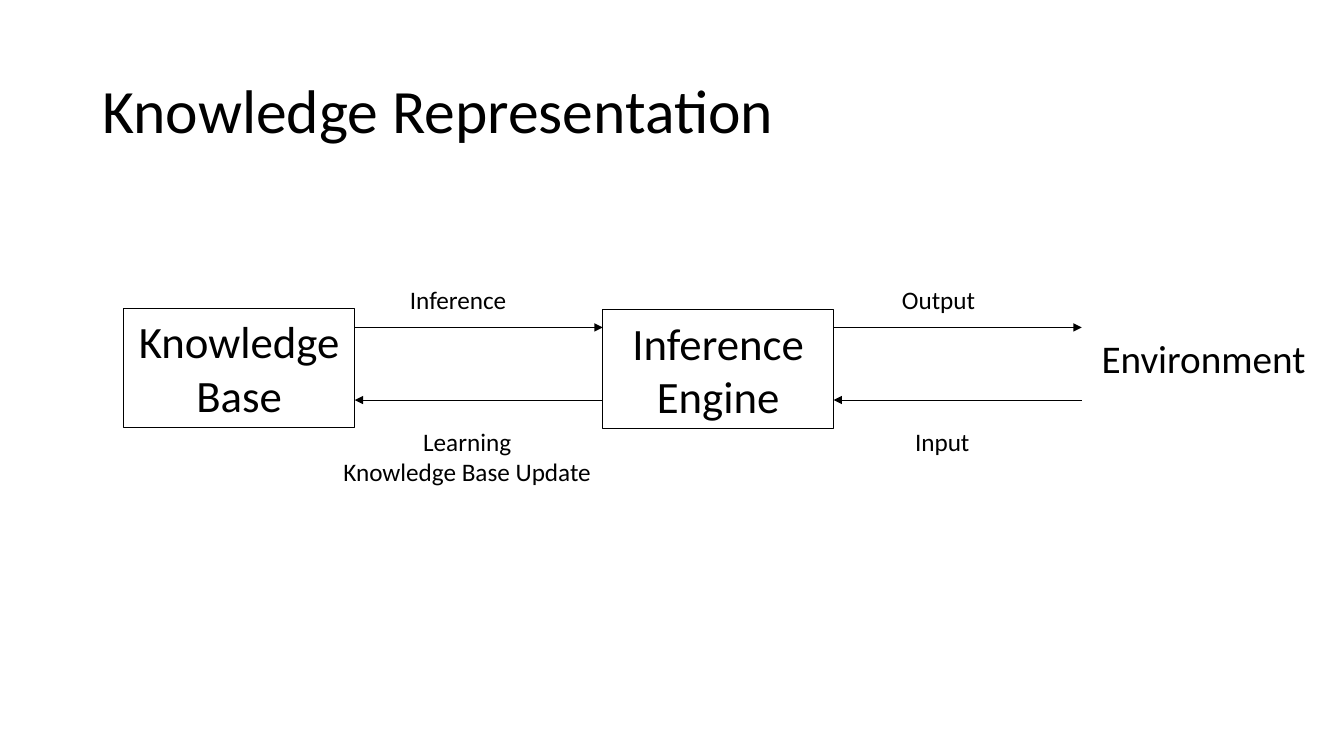
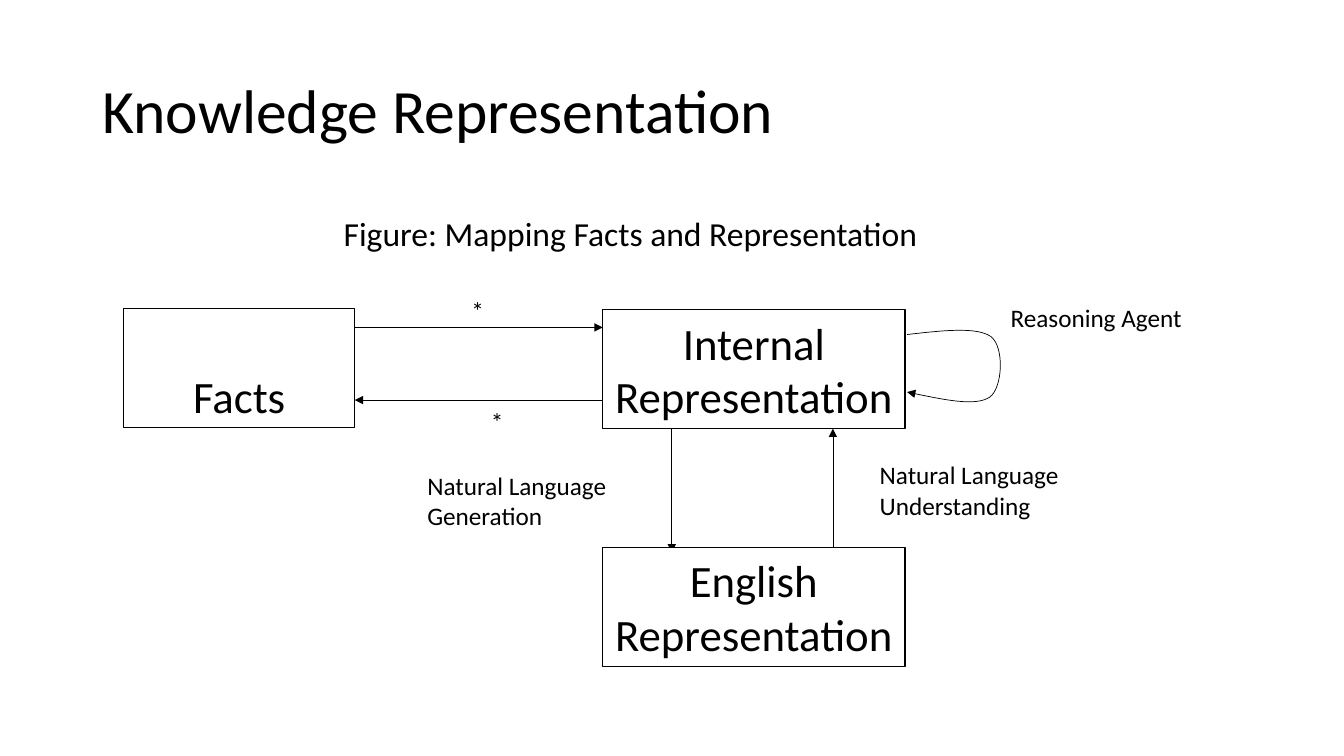
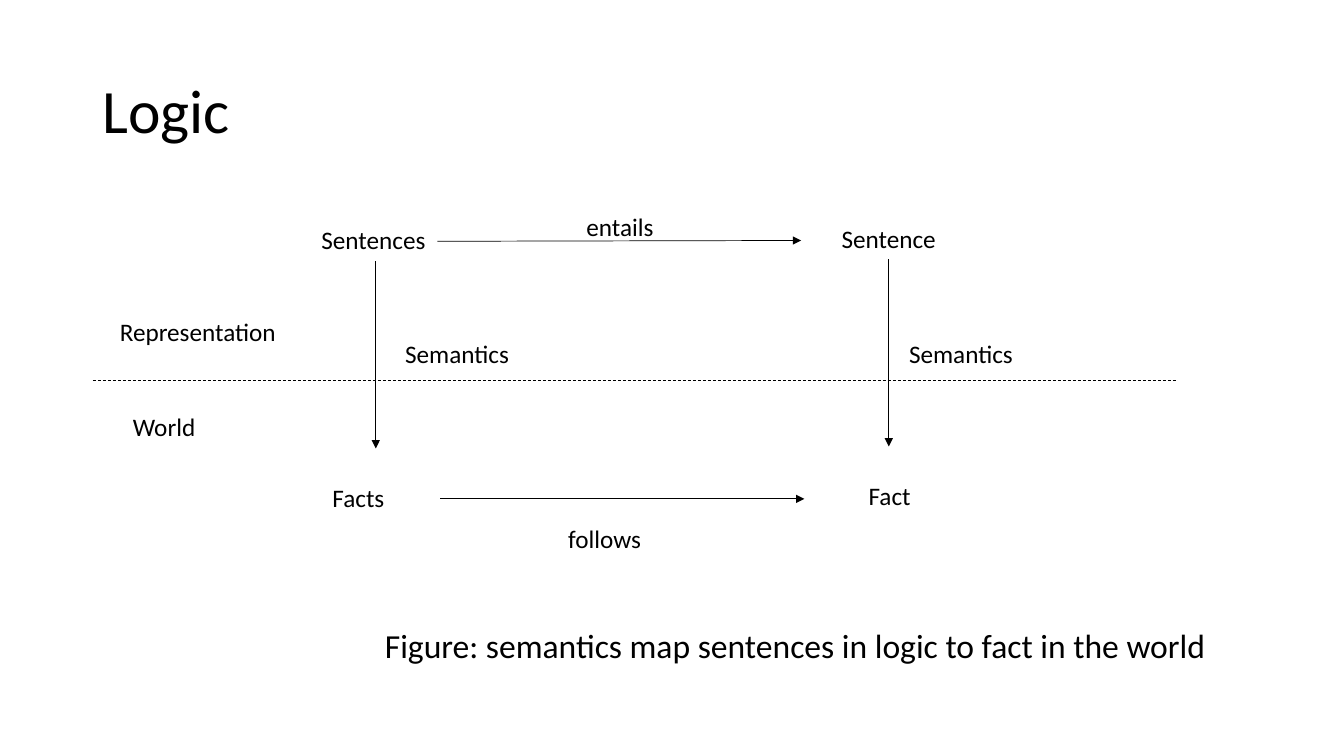
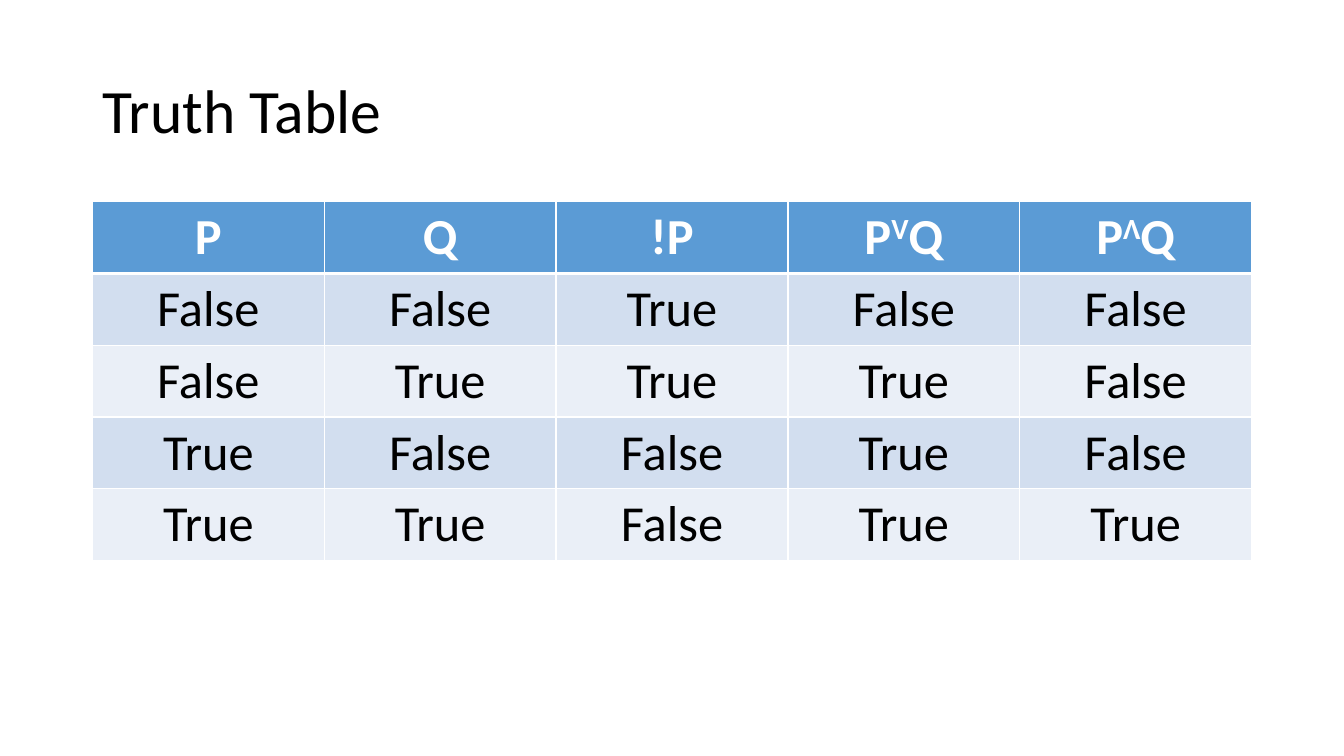
"""Build four slides on knowledge representation, logic and truth tables."""
import pptx
import pptx.dml.color
import pptx.enum.dml
import pptx.enum.shapes
import pptx.enum.text
import pptx.oxml.ns
import pptx.oxml.xmlchemy
import pptx.util

Cm = pptx.util.Cm
Pt = pptx.util.Pt
ALIGN = pptx.enum.text.PP_ALIGN
ANCHOR = pptx.enum.text.MSO_ANCHOR

FONT = "Calibri"
BLACK, WHITE = "000000", "FFFFFF"
HEADER_FILL, BANDS = "5B9BD5", ("D2DEEF", "EAEFF7")
TITLE_AREA = (2.33, 1.01, 29.21, 3.68)

BOX_LEFT, BOX_TOP, BOX_HEIGHT = 3.12, 7.77, 3
ENGINE_LEFT, ENGINE_TOP = 15.19, 7.8
NARROW, WIDE = 5.82, 7.62
OUTWARD_Y, RETURN_Y = 8.25, 10.08
GAP = ENGINE_LEFT - BOX_LEFT - NARROW

AGENT_LABELS = [
    ("Environment", 27.51, 8.31, 5.72, 28, ALIGN.LEFT),
    ("Output", 22.48, 7.04, 2.39, 18, ALIGN.LEFT),
    ("Input", 22.81, 10.62, 1.9, 18, ALIGN.LEFT),
    ("Inference", 10.08, 7.04, 2.97, 18, ALIGN.LEFT),
    ("Learning\nKnowledge Base Update", 8.36, 10.62, 6.83, 18, ALIGN.CENTER),
]

MAPPING_LABELS = [
    ("Natural Language\nGeneration", 10.52, 11.73, 5.23, 18, ALIGN.LEFT),
    ("Natural Language\nUnderstanding", 21.92, 11.46, 5.08, 18, ALIGN.LEFT),
    ("Reasoning Agent", 25.22, 7.49, 4.88, 18, ALIGN.LEFT),
    ("*", 11.63, 7.32, 0.84, 18, ALIGN.LEFT),
    ("*", 12.12, 10.11, 0.84, 18, ALIGN.LEFT),
    ("Figure: Mapping Facts and Representation", 8.41, 5.23, 15.11, 24, ALIGN.LEFT),
]
MAPPING_ARROWS = [((20.99, 13.92), (20.99, 10.8)), ((16.93, 10.8), (16.93, 13.92))]
REASONING_LOOP = [
    (22.86, 8.43),
    (23.75, 8.33), (24.61, 8.23), (24.97, 8.48),
    (25.32, 8.74), (25.27, 9.78), (24.94, 10.01),
    (24.59, 10.24), (23.72, 10.06), (22.86, 9.88),
]

LOGIC_LABELS = [
    ("Sentences", 7.85, 5.54, 3.18, 18, ALIGN.LEFT),
    ("Sentence", 20.96, 5.51, 2.92, 18, ALIGN.LEFT),
    ("entails", 14.53, 5.21, 2.21, 18, ALIGN.LEFT),
    ("Representation", 2.77, 7.85, 4.5, 18, ALIGN.LEFT),
    ("World", 3.1, 10.24, 2.11, 18, ALIGN.LEFT),
    ("Facts", 8.13, 12.04, 1.83, 18, ALIGN.LEFT),
    ("Fact", 21.64, 11.99, 1.57, 18, ALIGN.LEFT),
    ("follows", 14.07, 13.06, 2.36, 18, ALIGN.LEFT),
    ("Semantics", 9.96, 8.41, 3.15, 18, ALIGN.LEFT),
    ("Semantics", 22.66, 8.41, 3.15, 18, ALIGN.LEFT),
    ("Figure: semantics map sentences in logic to fact in the world",
     9.45, 15.62, 21.39, 24, ALIGN.LEFT),
]
LOGIC_ARROWS = [
    ((11.02, 6.08), (20.19, 6.06)),
    ((11.1, 12.57), (20.27, 12.57)),
    ((22.4, 6.53), (22.4, 11.25)),
    ((9.47, 6.58), (9.47, 11.3)),
]
WORLD_BORDER = ((2.34, 9.58), (29.67, 9.58))

TRUTH_HEADER = [("P",), ("Q",), ("!P",), ("P", "V", "Q"), ("P", "Λ", "Q")]
TRUTH_ROWS = [
    ("False", "False", "True", "False", "False"),
    ("False", "True", "True", "True", "False"),
    ("True", "False", "False", "True", "False"),
    ("True", "True", "False", "True", "True"),
]
TABLE_TOP, ROW_HEIGHT = 5.08, 1.78


def color(value):
    return pptx.dml.color.RGBColor.from_string(value)


def child(parent, tag, **attributes):
    element = pptx.oxml.xmlchemy.OxmlElement(tag)
    for name, value in attributes.items():
        element.set(name, value)
    parent.append(element)
    return element


def style_text(text_frame, size, alignment, text_color=BLACK, bold=False):
    for paragraph in text_frame.paragraphs:
        paragraph.alignment = alignment
        for run in paragraph.runs:
            run.font.name = FONT
            run.font.size = Pt(size)
            run.font.bold = bold
            run.font.color.rgb = color(text_color)


def add_slide(presentation, title):
    slide = presentation.slides.add_slide(presentation.slide_layouts[5])
    shape = slide.shapes.title
    shape.left, shape.top, shape.width, shape.height = map(Cm, TITLE_AREA)
    text_frame = shape.text_frame
    text_frame.text = title
    text_frame.vertical_anchor = ANCHOR.MIDDLE
    text_frame.paragraphs[0].line_spacing = 0.9
    style_text(text_frame, 44, ALIGN.LEFT)
    return slide


def add_labels(slide, labels):
    for text, left, top, width, size, alignment in labels:
        lines = text.count("\n") + 1
        height = Pt(lines * size * 1.2) + Cm(0.25)
        label = slide.shapes.add_textbox(Cm(left), Cm(top), Cm(width), height)
        label.text_frame.text = text
        label.text_frame.word_wrap = False
        style_text(label.text_frame, size, alignment)


def add_box(slide, text, left, top, width, anchor=ANCHOR.MIDDLE):
    box = slide.shapes.add_shape(
        pptx.enum.shapes.MSO_SHAPE.RECTANGLE, Cm(left), Cm(top), Cm(width), Cm(BOX_HEIGHT))
    box.shadow.inherit = False
    box.fill.solid()
    box.fill.fore_color.rgb = color(WHITE)
    box.line.color.rgb = color(BLACK)
    box.line.width = Pt(1)
    box.text_frame.text = text
    box.text_frame.word_wrap = True
    box.text_frame.vertical_anchor = anchor
    style_text(box.text_frame, 32, ALIGN.CENTER)


def style_line(line, arrow=True):
    line.color.rgb = color(BLACK)
    line.width = Pt(0.5)
    if arrow:
        child(line._get_or_add_ln(), "a:tailEnd", type="triangle")


def add_line(slide, start, end, arrow=True):
    connector = slide.shapes.add_connector(
        pptx.enum.shapes.MSO_CONNECTOR.STRAIGHT, *map(Cm, start + end))
    style_line(connector.line, arrow)
    child(connector._element.spPr, "a:effectLst")
    return connector


def add_exchange(slide, left):
    right = left + GAP
    add_line(slide, (left, OUTWARD_Y), (right, OUTWARD_Y))
    add_line(slide, (right, RETURN_Y), (left, RETURN_Y))


def add_curve(slide, points):
    start, *controls = [(Cm(x), Cm(y)) for x, y in points]
    builder = slide.shapes.build_freeform(*start)
    builder.add_line_segments(controls, close=False)
    curve = builder.convert_to_shape()
    curve.shadow.inherit = False
    curve.fill.background()
    style_line(curve.line)
    segments = list(curve._element.iter(pptx.oxml.ns.qn("a:lnTo")))
    outline = segments[0].getparent()
    for index in range(0, len(segments), 3):
        bezier = child(outline, "a:cubicBezTo")
        for segment in segments[index:index + 3]:
            bezier.append(segment[0])
            outline.remove(segment)


def format_cell(cell, fill, top_border, bottom_border):
    properties = cell._tc.get_or_add_tcPr()
    borders = {"a:lnL": 1, "a:lnR": 1, "a:lnT": top_border, "a:lnB": bottom_border}
    for tag, width in borders.items():
        line = child(properties, tag, w=str(Pt(width)))
        child(child(line, "a:solidFill"), "a:srgbClr", val=WHITE)
    cell.fill.solid()
    cell.fill.fore_color.rgb = color(fill)


def add_truth_table(slide):
    rows = [TRUTH_HEADER] + [[(value,) for value in row] for row in TRUTH_ROWS]
    left, _, width, _ = TITLE_AREA
    table = slide.shapes.add_table(
        len(rows), len(TRUTH_HEADER), Cm(left), Cm(TABLE_TOP),
        Cm(width), Cm(ROW_HEIGHT * len(rows))).table
    for row_index, row in enumerate(rows):
        header = row_index == 0
        fill = HEADER_FILL if header else BANDS[(row_index - 1) % 2]
        for column_index, parts in enumerate(row):
            cell = table.cell(row_index, column_index)
            format_cell(cell, fill, 3 if row_index == 1 else 1, 3 if header else 1)
            paragraph = cell.text_frame.paragraphs[0]
            for part_index, part in enumerate(parts):
                run = paragraph.add_run()
                run.text = part
                if part_index == 1:
                    run._r.get_or_add_rPr().set("baseline", "30000")
            style_text(cell.text_frame, 36, ALIGN.CENTER, WHITE if header else BLACK, header)


def build_agent(presentation):
    slide = add_slide(presentation, "Knowledge Representation")
    add_box(slide, "Knowledge Base", BOX_LEFT, BOX_TOP, NARROW)
    add_box(slide, "Inference Engine", ENGINE_LEFT, ENGINE_TOP, NARROW)
    for left in (BOX_LEFT, ENGINE_LEFT):
        add_exchange(slide, left + NARROW)
    add_labels(slide, AGENT_LABELS)


def build_mapping(presentation):
    slide = add_slide(presentation, "Knowledge Representation")
    add_box(slide, "Facts", BOX_LEFT, BOX_TOP, NARROW, ANCHOR.BOTTOM)
    add_box(slide, "Internal Representation", ENGINE_LEFT, ENGINE_TOP, WIDE)
    add_exchange(slide, BOX_LEFT + NARROW)
    for start, end in MAPPING_ARROWS:
        add_line(slide, start, end)
    add_box(slide, "English Representation", ENGINE_LEFT, 13.79, WIDE)
    add_curve(slide, REASONING_LOOP)
    add_labels(slide, MAPPING_LABELS)


def build_logic(presentation):
    slide = add_slide(presentation, "Logic")
    add_labels(slide, LOGIC_LABELS)
    for start, end in LOGIC_ARROWS:
        add_line(slide, start, end)
    border = add_line(slide, *WORLD_BORDER, arrow=False)
    border.line.dash_style = pptx.enum.dml.MSO_LINE.DASH


def main():
    presentation = pptx.Presentation()
    presentation.slide_width, presentation.slide_height = Cm(33.87), Cm(19.05)
    build_agent(presentation)
    build_mapping(presentation)
    build_logic(presentation)
    add_truth_table(add_slide(presentation, "Truth Table"))
    presentation.save("out.pptx")


if __name__ == "__main__":
    main()
